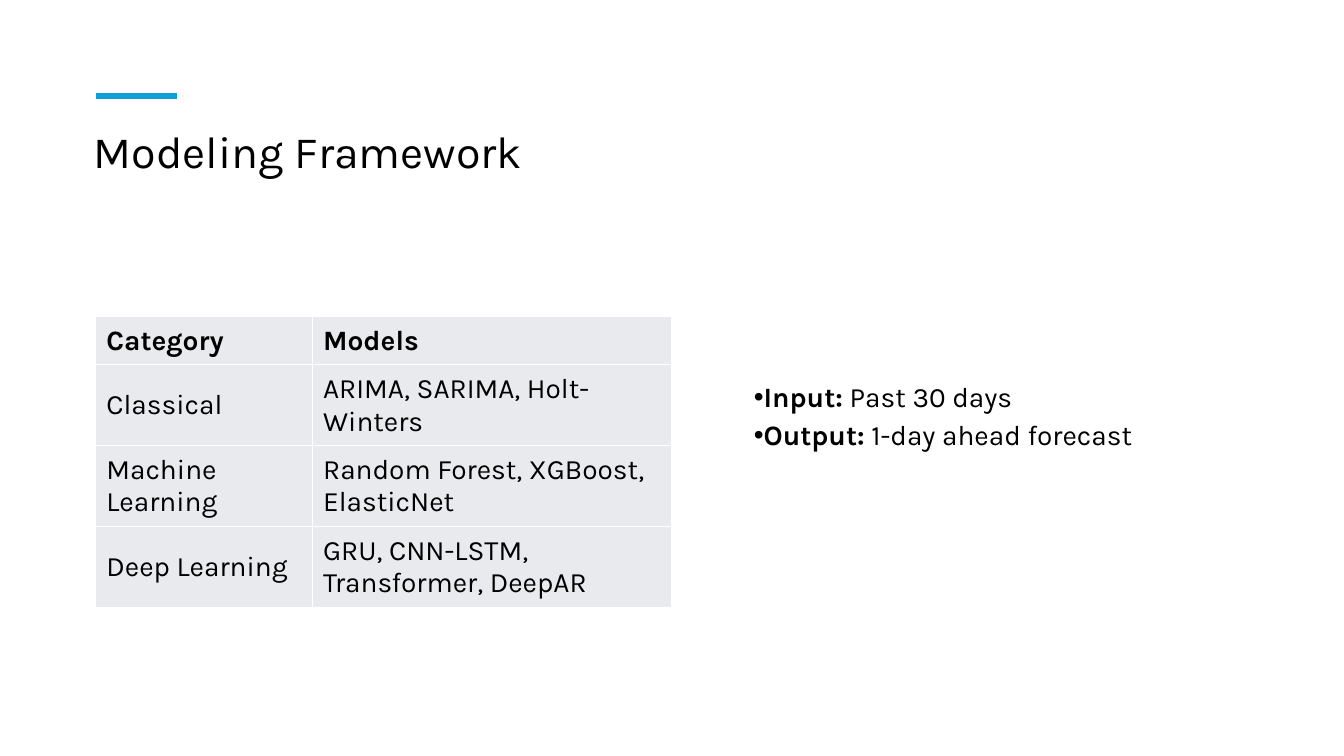
from lxml import etree
from pptx import Presentation
from pptx.dml.color import RGBColor
from pptx.enum.shapes import MSO_CONNECTOR
from pptx.enum.text import MSO_ANCHOR
from pptx.oxml.ns import qn
from pptx.util import Pt

STRAIGHT = MSO_CONNECTOR.STRAIGHT
MIDDLE = MSO_ANCHOR.MIDDLE
FONT = "Karla"
COLORS = {"text": "000000", "accent": "0F9ED5", "cell": "E8EAED", "border": "FFFFFF"}
MODELS = [
    ("Category", "Models"),
    ("Classical", "ARIMA, SARIMA, Holt-Winters"),
    ("Machine Learning", "Random Forest, XGBoost, ElasticNet"),
    ("Deep Learning", "GRU, CNN-LSTM, Transformer, DeepAR"),
]
HORIZON = [("Input:", " Past 30 days"), ("Output:", " 1-day ahead forecast")]


def color(name):
    """Return the named palette colour."""
    return RGBColor.from_string(COLORS[name])


def style(paragraph, size, bold=None):
    """Set the font of a paragraph."""
    font = paragraph.font
    font.name, font.size, font.bold = FONT, Pt(size), bold
    font.color.rgb = color("text")


def add_frame(slide, left, top, width, height):
    """Add a wrapping text box and return its text frame."""
    frame = slide.shapes.add_textbox(Pt(left), Pt(top), Pt(width), Pt(height)).text_frame
    frame.word_wrap = True
    return frame


def add_title(slide, text):
    """Add the slide title."""
    heading = add_frame(slide, 60, 89.3, 713.5, 82.8).paragraphs[0]
    heading.text = text
    heading.line_spacing = 0.9
    style(heading, 32)


def add_accent(slide, left, top, length):
    """Add the short accent rule above the title."""
    rule = slide.shapes.add_connector(STRAIGHT, Pt(left), Pt(top), Pt(left + length), Pt(top))
    rule.line.color.rgb = color("accent")
    rule.line.width = Pt(4.5)
    etree.SubElement(rule._element.spPr, qn("a:effectLst"))


def add_bullets(slide, items):
    """Add bulleted lines with a bold lead-in."""
    frame = add_frame(slide, 531.4, 270, 360, 301)
    for index, (label, detail) in enumerate(items):
        line = frame.add_paragraph() if index else frame.paragraphs[0]
        line.line_spacing, line.space_after = 0.9, Pt(6)
        style(line, 20)
        line.add_run().text = label
        line.runs[0].font.bold = True
        line.add_run().text = detail
        properties = line._p.get_or_add_pPr()
        properties.set("marL", "0")
        properties.set("indent", str(-Pt(18)))
        bullet_font = etree.Element(qn("a:buFont"), typeface="Arial")
        bullet = etree.Element(qn("a:buChar"), char="•")
        defaults = properties.find(qn("a:defRPr"))
        defaults.addprevious(bullet_font)
        defaults.addprevious(bullet)


def add_borders(cell):
    """Draw a thin border on every side of a cell."""
    properties = cell._tc.get_or_add_tcPr()
    for position, side in enumerate(("lnL", "lnR", "lnT", "lnB")):
        edge = etree.Element(qn(f"a:{side}"), w=str(Pt(1)))
        fill = etree.SubElement(edge, qn("a:solidFill"))
        etree.SubElement(fill, qn("a:srgbClr"), val=COLORS["border"])
        properties.insert(position, edge)


def add_models_table(slide, rows):
    """Add the table of model families."""
    widths, heights = (154.8, 256.3), (34.5, 57.8, 57.8, 57.8)
    table = slide.shapes.add_table(
        len(rows), len(widths), Pt(68.4), Pt(226.1), Pt(sum(widths)), Pt(sum(heights))
    ).table
    for column, width in zip(table.columns, widths):
        column.width = Pt(width)
    for row_index, (entries, height) in enumerate(zip(rows, heights)):
        table.rows[row_index].height = Pt(height)
        for column_index, entry in enumerate(entries):
            cell = table.cell(row_index, column_index)
            cell.text = entry
            cell.vertical_anchor = MIDDLE
            cell.margin_left = cell.margin_right = Pt(7.6)
            cell.margin_top = cell.margin_bottom = Pt(3.8)
            cell.fill.solid()
            cell.fill.fore_color.rgb = color("cell")
            style(cell.text_frame.paragraphs[0], 20, row_index == 0)
            add_borders(cell)


def main():
    """Build and save the modeling framework slide."""
    deck = Presentation()
    deck.slide_width, deck.slide_height = Pt(960), Pt(540)
    slide = deck.slides.add_slide(deck.slide_layouts[6])
    add_title(slide, "Modeling Framework")
    add_accent(slide, 68.4, 68.6, 58)
    add_bullets(slide, HORIZON)
    add_models_table(slide, MODELS)
    deck.save("out.pptx")


if __name__ == "__main__":
    main()
